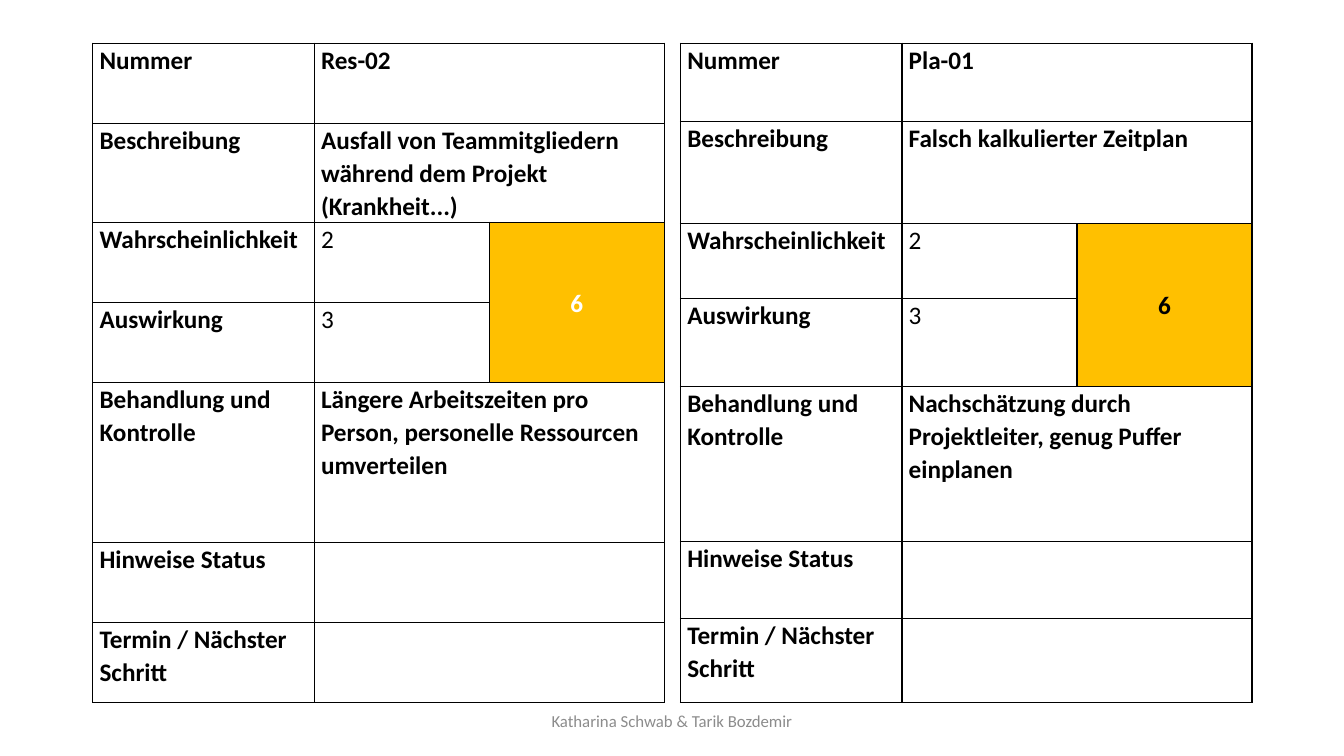
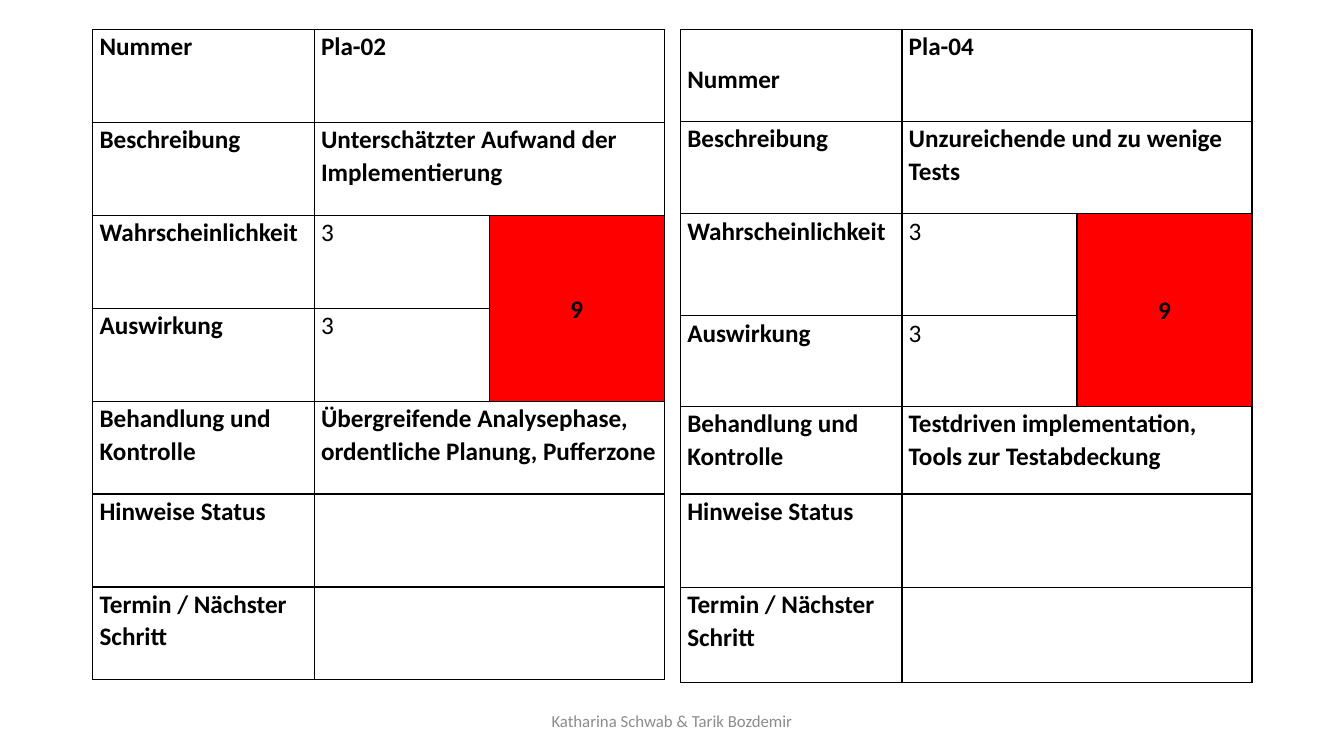
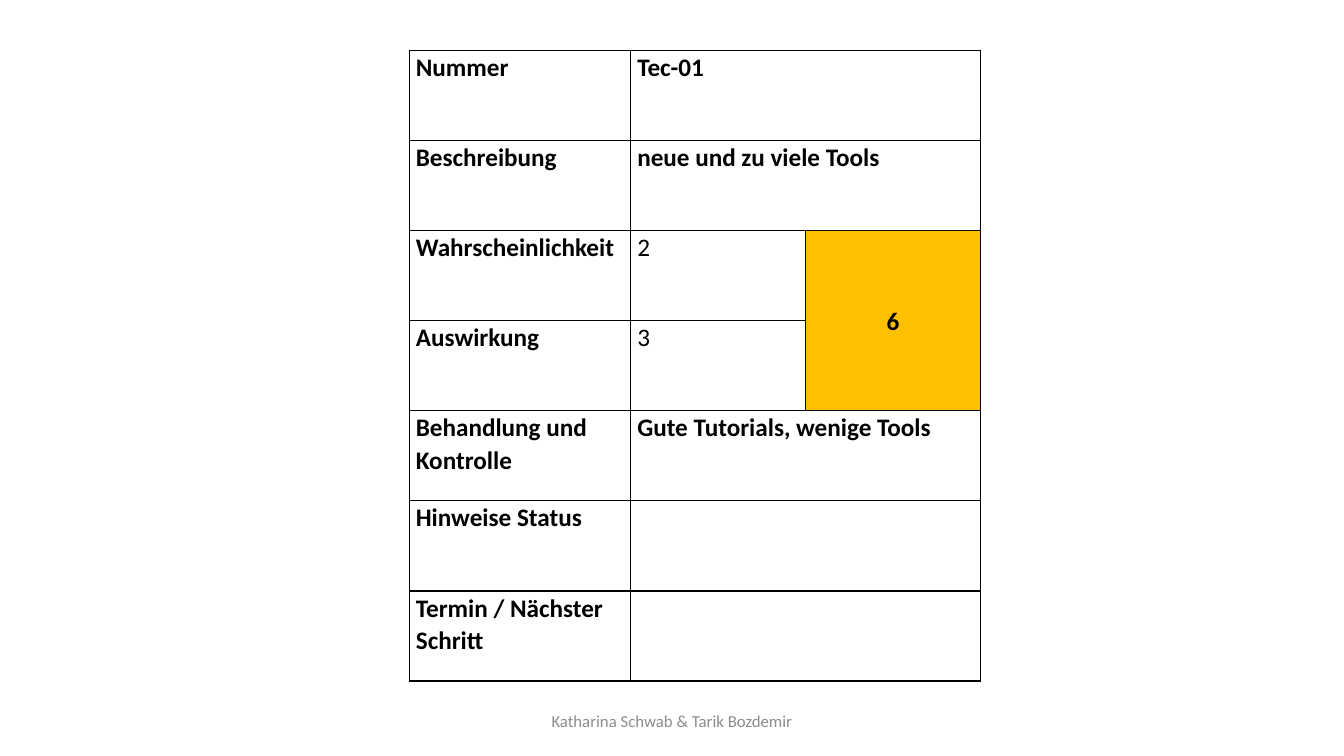
from lxml.etree import SubElement
from pptx import Presentation
from pptx.dml.color import RGBColor
from pptx.enum.text import MSO_ANCHOR, PP_ALIGN
from pptx.oxml import parse_xml
from pptx.oxml.ns import nsdecls, qn
from pptx.util import Cm, Pt

COLORS = {"paper": "FFFFFF", "ink": "000000", "footer": "8C8C8C",
          "medium": "FFC000", "high": "FF0000"}
FONT = "Calibri"
FOOTER = "Katharina Schwab & Tarik Bozdemir"
LABELS = ["Nummer", "Beschreibung", "Wahrscheinlichkeit", "Auswirkung",
          "Behandlung und Kontrolle", "Hinweise Status", "Termin / Nächster Schritt"]
PROBABILITY, IMPACT = 2, 3
COLUMNS = [5.58, 4.41, 4.41]
LEFT, CENTER, RIGHT = 2.34, 10.31, 17.15
INSET = 0.17

# One list of risk cards per slide; lengths in centimetres
SLIDES = [
    [
        {"at": (LEFT, 1.09), "rows": [2.02] * 4 + [4.03] + [2.02] * 2,
         "level": "medium", "score_color": "paper",
         "values": ["Res-02", "Ausfall von Teammitgliedern während dem Projekt (Krankheit...)",
                    2, 3, "Längere Arbeitszeiten pro Person, personelle Ressourcen umverteilen"]},
        {"at": (RIGHT, 1.09), "rows": [1.98, 2.57, 1.88, 2.21, 3.91, 1.95, 2.11],
         "level": "medium",
         "values": ["Pla-01", "Falsch kalkulierter Zeitplan",
                    2, 3, "Nachschätzung durch Projektleiter, genug Puffer einplanen"]},
    ],
    [
        {"at": (LEFT, 0.75), "rows": [2.34] * 7, "level": "high",
         "values": ["Pla-02", "Unterschätzter Aufwand der Implementierung",
                    3, 3, "Übergreifende Analysephase, ordentliche Planung, Pufferzone"]},
        {"at": (RIGHT, 0.75), "rows": [2.32, 2.32, 2.57, 2.28, 2.21, 2.36, 2.39],
         "level": "high", "number_drop": 0.81,
         "values": ["Pla-04", "Unzureichende und zu wenige Tests",
                    3, 3, "Testdriven implementation, Tools zur Testabdeckung"]},
    ],
    [
        {"at": (CENTER, 1.27), "rows": [2.27] * 7, "level": "medium",
         "values": ["Tec-01", "neue und zu viele Tools",
                    2, 3, "Gute Tutorials, wenige Tools"]},
    ],
]


def rgb(name):
    """Return the named palette colour."""
    return RGBColor.from_string(COLORS[name])


def set_all(obj, values):
    """Set each attribute of obj from a dict."""
    for name, value in values.items():
        setattr(obj, name, value)


def write(tf, text, size, color="ink", bold=False, align=PP_ALIGN.LEFT):
    """Put one formatted run in the first paragraph and return the paragraph."""
    p = tf.paragraphs[0]
    p.alignment = align
    r = p.add_run()
    r.text = str(text)
    set_all(r.font, {"name": FONT, "size": Pt(size), "bold": bold})
    r.font.color.rgb = rgb(color)
    return p


def style_cell(cell, fill="paper"):
    """Give a cell its fill, insets and four black borders."""
    set_all(cell, {"margin_left": Cm(INSET), "margin_right": Cm(INSET),
                   "margin_top": 0, "margin_bottom": 0})
    cell.fill.solid()
    cell.fill.fore_color.rgb = rgb(fill)
    tc_pr = cell._tc.get_or_add_tcPr()
    for i, side in enumerate(("lnL", "lnR", "lnT", "lnB")):
        line = parse_xml(f'<a:{side} {nsdecls("a")} w="{Pt(1)}"/>')
        paint = SubElement(line, qn("a:solidFill"))
        SubElement(paint, qn("a:srgbClr"), val=COLORS["ink"])
        tc_pr.insert(i, line)


def fill_cell(cell, text, **look):
    """Write spaced 18 point text in a table cell."""
    p = write(cell.text_frame, text, 18, **look)
    set_all(p, {"line_spacing": 1.07, "space_before": Pt(2), "space_after": Pt(2)})


def add_risk(s, risk):
    """Add one risk card as a table."""
    left, top = risk["at"]
    rows, values = risk["rows"], risk["values"]
    table = s.shapes.add_table(len(rows), len(COLUMNS), Cm(left), Cm(top),
                               Cm(sum(COLUMNS)), Cm(sum(rows))).table
    set_all(table, {"first_row": False, "horz_banding": False})
    for column, width in zip(table.columns, COLUMNS):
        column.width = Cm(width)
    for row, height in zip(table.rows, rows):
        row.height = Cm(height)

    rated = (PROBABILITY, IMPACT)
    for i, label in enumerate(LABELS):
        for j in range(len(COLUMNS)):
            style_cell(table.cell(i, j), risk["level"] if i in rated and j == 2 else "paper")
        fill_cell(table.cell(i, 0), label, bold=True)
        if i not in rated:
            table.cell(i, 1).merge(table.cell(i, 2))
        if i < len(values):
            fill_cell(table.cell(i, 1), values[i], bold=i not in rated)
    table.cell(0, 0).margin_top = Cm(risk.get("number_drop", 0))

    score = table.cell(PROBABILITY, 2)
    score.merge(table.cell(IMPACT, 2))
    score.vertical_anchor = MSO_ANCHOR.MIDDLE
    fill_cell(score, values[PROBABILITY] * values[IMPACT], bold=True,
              color=risk.get("score_color", "ink"), align=PP_ALIGN.CENTER)


def add_footer(s):
    """Add the centred author line."""
    tf = s.shapes.add_textbox(Cm(11.22), Cm(17.65), Cm(11.43), Cm(1.01)).text_frame
    set_all(tf, {"word_wrap": True, "vertical_anchor": MSO_ANCHOR.MIDDLE})
    write(tf, FOOTER, 12, color="footer", align=PP_ALIGN.CENTER)


prs = Presentation()
set_all(prs, {"slide_width": Cm(33.87), "slide_height": Cm(19.05)})
for risks in SLIDES:
    s = prs.slides.add_slide(prs.slide_layouts[6])
    for risk in risks:
        add_risk(s, risk)
    add_footer(s)
prs.save("out.pptx")
